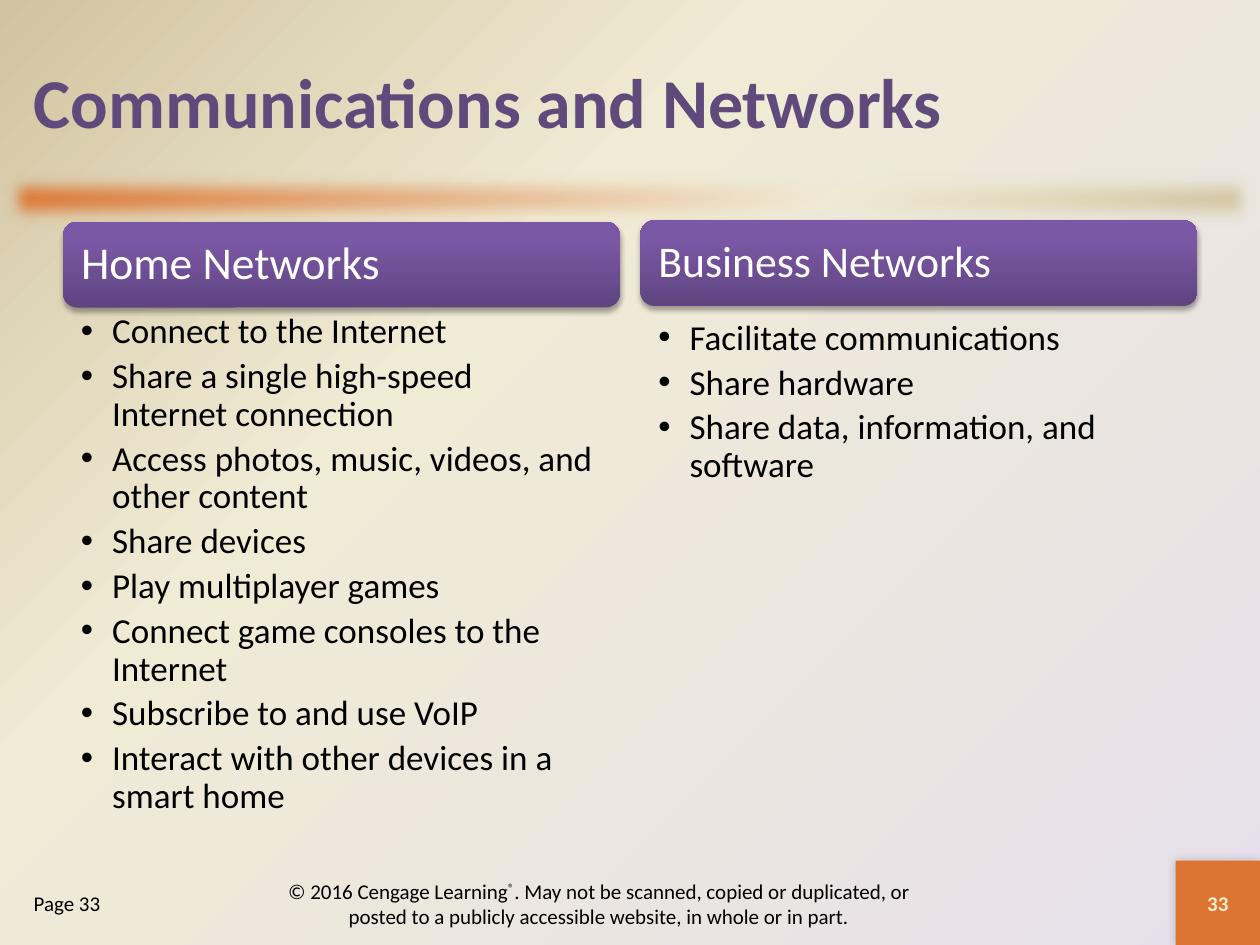
from lxml import etree
from pptx import Presentation
from pptx.dml.color import RGBColor
from pptx.enum.shapes import MSO_SHAPE
from pptx.enum.text import MSO_ANCHOR, MSO_AUTO_SIZE, PP_ALIGN
from pptx.oxml import parse_xml
from pptx.oxml.ns import nsdecls, qn
from pptx.util import Cm, Pt

BLACK = RGBColor(0x00, 0x00, 0x00)
WHITE = RGBColor(0xFF, 0xFF, 0xFF)
PURPLE = RGBColor(0x60, 0x4A, 0x7B)
PLUM = RGBColor(0x5F, 0x44, 0x80)
VIOLET = RGBColor(0x7B, 0x58, 0xA6)
BRIGHT = RGBColor(0x7C, 0x57, 0xA8)
LILAC = RGBColor(0xE6, 0xE0, 0xEC)
CREAM = RGBColor(0xF0, 0xEB, 0xD5)
TAN = RGBColor(0xD1, 0xC3, 0x9F)
ORANGE = RGBColor(0xDB, 0x75, 0x31)
PALE = RGBColor(0xEE, 0xEB, 0xCA)


def write(shape, text, size=12, color=BLACK, bold=False, align=PP_ALIGN.LEFT,
          anchor=MSO_ANCHOR.MIDDLE, inset=(0.25, 0.13, 0.25, 0.13),
          space=1.0, after=0, bullet=False):
    frame = shape.text_frame
    frame.text = text
    frame.word_wrap = True
    frame.auto_size = MSO_AUTO_SIZE.NONE
    frame.vertical_anchor = anchor
    left, top, right, bottom = inset
    frame.margin_left, frame.margin_top = Cm(left), Cm(top)
    frame.margin_right, frame.margin_bottom = Cm(right), Cm(bottom)
    for para in frame.paragraphs:
        if bullet:
            props = para._p.get_or_add_pPr()
            props.set("marL", str(Cm(0.63)))
            props.set("indent", str(Cm(-0.63)))
            etree.SubElement(props, qn("a:buChar")).set("char", "•")
        para.alignment = align
        para.line_spacing = space
        para.space_before = Pt(0)
        para.space_after = Pt(after)
        for run in para.runs:
            run.font.name = "Calibri"
            run.font.size = Pt(size)
            run.font.bold = bold
            run.font.color.rgb = color


def blend(fill, root, stops, path):
    fill.gradient()
    grad = root.find(".//" + qn("a:gradFill"))
    for child in list(grad):
        grad.remove(child)
    marks = "".join(f'<a:gs pos="{pos * 1000}"><a:srgbClr val="{color}"/></a:gs>'
                    for pos, color in stops)
    grad.append(parse_xml(f'<a:gsLst {nsdecls("a")}>{marks}</a:gsLst>'))
    grad.append(parse_xml(path))


deck = Presentation()
deck.slide_width, deck.slide_height = Cm(25.4), Cm(19.05)
slide = deck.slides.add_slide(deck.slide_layouts[3])
shapes = slide.shapes

blend(slide.background.fill, slide.element,
      [(0, LILAC), (65, CREAM), (100, TAN)],
      f'<a:path {nsdecls("a")} path="circle">'
      '<a:fillToRect l="100000" t="100000"/></a:path>')

bar = shapes.add_shape(MSO_SHAPE.RECTANGLE, 0, Cm(3.38), Cm(25.4), Cm(1.27))
blend(bar.fill, bar.element, [(0, ORANGE), (65, CREAM), (100, TAN)],
      f'<a:lin {nsdecls("a")} ang="2700000" scaled="1"/>')

badge = shapes.add_shape(MSO_SHAPE.RECTANGLE, Cm(23.7), Cm(17.35), Cm(1.7), Cm(1.7))
badge.fill.solid()
badge.fill.fore_color.rgb = ORANGE
write(badge, "33", color=PALE, bold=True, align=PP_ALIGN.CENTER)

title = shapes.title
title.left, title.top, title.width, title.height = Cm(0.43), Cm(0.43), Cm(24.56), Cm(3.18)
write(title, "Communications and Networks", size=40, color=PURPLE, bold=True)

groups = [
    ("Home Networks", 26, 1.27, 4.47, 6.22, 10.77, [
        "Connect to the Internet",
        "Share a single high-speed Internet connection",
        "Access photos, music, videos, and other content",
        "Share devices",
        "Play multiplayer games",
        "Connect game consoles to the Internet",
        "Subscribe to and use VoIP",
        "Interact with other devices in a smart home",
    ]),
    ("Business Networks", 25, 12.91, 4.44, 6.35, 10.49, [
        "Facilitate communications",
        "Share hardware",
        "Share data, information, and software",
    ]),
]
heads = []
for idx, (name, size, left, top, start, tall, items) in enumerate(groups, 1):
    head = shapes.add_shape(MSO_SHAPE.ROUNDED_RECTANGLE,
                            Cm(left), Cm(top), Cm(11.23), Cm(1.73))
    blend(head.fill, head.element, [(0, PLUM), (80, VIOLET), (100, BRIGHT)],
          f'<a:lin {nsdecls("a")} ang="16200000" scaled="0"/>')
    write(head, name, size=size, color=WHITE, space=0.9, inset=(0.28,) * 4)
    heads.append(head)
    body = slide.placeholders[idx]
    body.left, body.top, body.width, body.height = Cm(left), Cm(start), Cm(11.23), Cm(tall)
    write(body, "\n".join(items), size=20, anchor=MSO_ANCHOR.TOP,
          inset=(0.36, 0.1, 0.5, 0.1), space=0.9, after=4, bullet=True)

shade = ('<a:outerShdw {} blurRad="{}" dist="{}" dir="{}" rotWithShape="0">'
         '<a:srgbClr val="000000"><a:alpha val="{}"/></a:srgbClr></a:outerShdw>')
glow = shade.format(nsdecls("a"), Pt(6), 0, 13500000, 20000)
drop = shade.format(nsdecls("a"), Pt(3.1), Pt(1.8), 5400000, 35000)
soft = f'<a:softEdge {nsdecls("a")} rad="{Pt(10)}"/>'
for shape, effect in [(bar, soft), (badge, glow)] + [(head, drop) for head in heads]:
    shape.line.fill.background()
    shape.shadow.inherit = False
    shape.element.spPr.find(qn("a:effectLst")).append(parse_xml(effect))

legal = shapes.add_textbox(Cm(5.51), Cm(17.7), Cm(13.13), Cm(1.02))
write(legal, "© 2016 Cengage Learning", align=PP_ALIGN.CENTER)
line = legal.text_frame.paragraphs[0]
for text, rise in [("®", 30000),
                   (". May not be scanned, copied or duplicated, or posted to "
                    "a publicly accessible website, in whole or in part.", 0)]:
    run = line.add_run()
    run.text = text
    run.font.name = "Calibri"
    run.font.size = Pt(12)
    run.font.color.rgb = BLACK
    run.font._element.set("baseline", str(rise))

page = shapes.add_textbox(Cm(0.43), Cm(17.78), Cm(4.65), Cm(0.84))
write(page, "Page 33")

deck.save("out.pptx")
